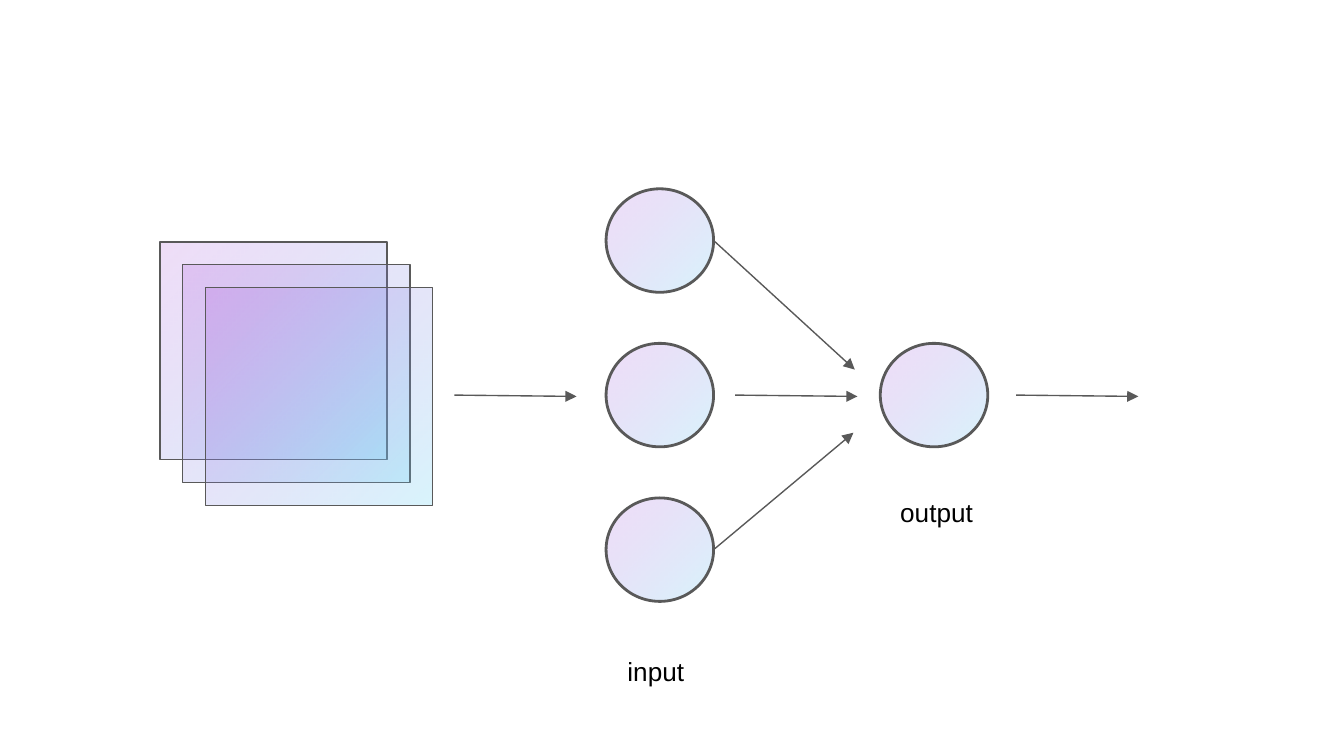
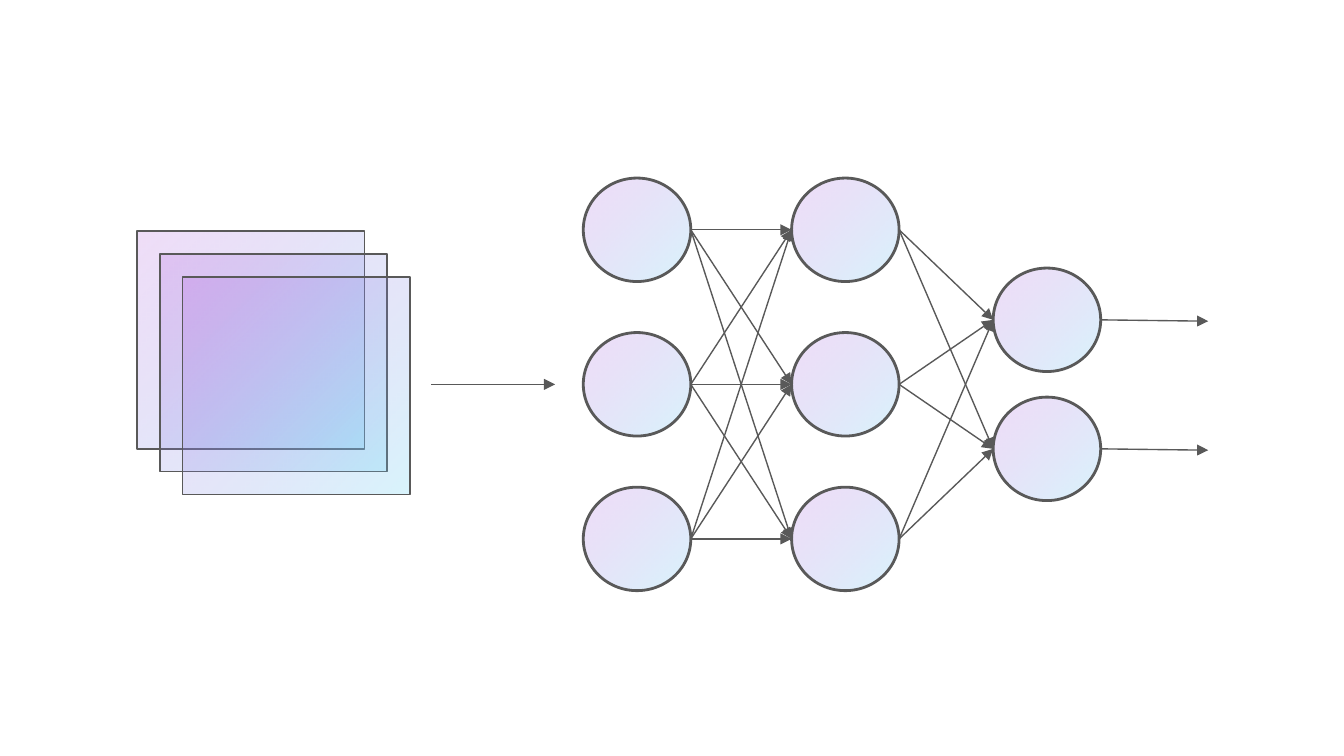
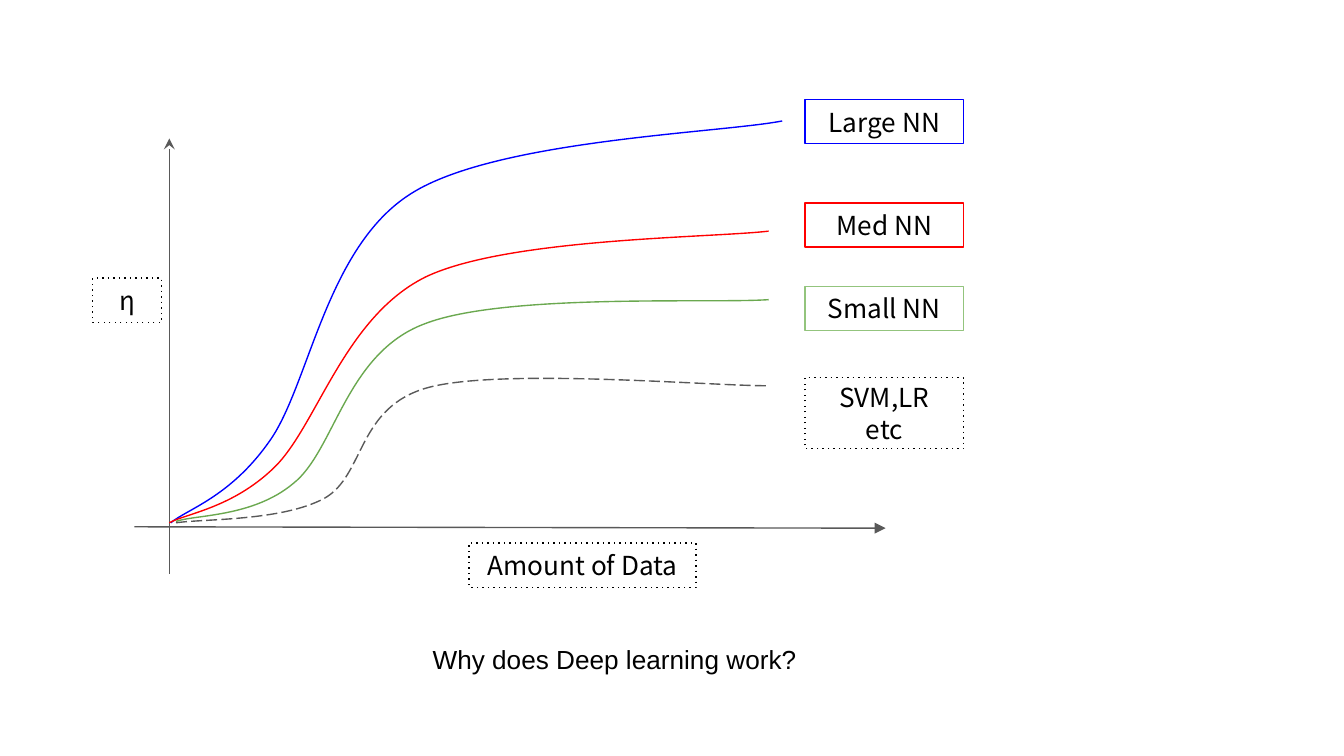
from itertools import product

from lxml import etree
from pptx import Presentation
from pptx.dml.color import RGBColor
from pptx.enum.shapes import MSO_CONNECTOR, MSO_SHAPE
from pptx.enum.text import MSO_ANCHOR, PP_ALIGN
from pptx.oxml.ns import qn
from pptx.util import Inches, Pt

ELLIPSE, RECTANGLE = MSO_SHAPE.OVAL, MSO_SHAPE.RECTANGLE
STRAIGHT = MSO_CONNECTOR.STRAIGHT
MIDDLE, TOP = MSO_ANCHOR.MIDDLE, MSO_ANCHOR.TOP
CENTER, LEFT = PP_ALIGN.CENTER, PP_ALIGN.LEFT

# The grid has ten square columns across the slide; all lengths are in columns.
COLUMNS, ROWS = 10, 5.625
CELL = Inches(1)

GREY, BLACK = "595959", "000000"
BLUE, RED, GREEN, PALE_GREEN = "0000FF", "FF0000", "6AA84F", "93C47D"
GLASS = [("69D4F4", 26), ("9F39D5", 17)]  # colour, opacity in percent
GLASS_ANGLE = 135
THIN, THICK = 0.75, 1.5

CAPTION_FONT, LABEL_FONT = "Arial", "Noto Sans CJK KR"
TEXT_SIZE, INSET = 14, 0.1

NODE_WIDTH, NODE_HEIGHT, NODE_STEP = 0.8, 0.77, 1.15
SHEET_WIDTH, SHEET_HEIGHT, SHEET_STEP, SHEET_COUNT = 1.69, 1.62, 0.17, 3
LABEL_LEFT, LABEL_WIDTH, LABEL_HEIGHT = 5.99, 1.18, 0.33


def grid(*lengths):
    return [int(length * CELL) for length in lengths]


def colour(code):
    return RGBColor.from_string(code)


def apply(target, formats):
    for name, value in formats.items():
        setattr(target, name, value)


def style_line(shape, code, width=THIN, dash=None, arrow=None):
    shape.line.color.rgb = colour(code)
    shape.line.width = Pt(width)
    outline = shape.line._get_or_add_ln()
    if dash:
        etree.SubElement(outline, qn("a:prstDash"), val=dash)
    if arrow:
        etree.SubElement(outline, qn("a:tailEnd"), type=arrow)


def write(shape, text, font, anchor, align):
    frame = shape.text_frame
    apply(frame, {"word_wrap": True, "vertical_anchor": anchor})
    sides = ("left", "right", "top", "bottom")
    apply(frame, {f"margin_{side}": Inches(INSET) for side in sides})
    para = frame.paragraphs[0]
    para.alignment = align
    span = para.add_run()
    span.text = text
    apply(span.font, {"name": font, "size": Pt(TEXT_SIZE)})
    span.font.color.rgb = colour(BLACK)


def add_glass(page, kind, left, top, width, height, line_width):
    shape = page.shapes.add_shape(kind, *grid(left, top, width, height))
    shape.shadow.inherit = False
    shape.fill.gradient()
    shape.fill.gradient_angle = GLASS_ANGLE
    for stop, (code, opacity) in zip(shape.fill.gradient_stops, GLASS):
        stop.color.rgb = colour(code)
        tint = shape._element.xpath(f".//a:gradFill//a:srgbClr[@val='{code}']")[0]
        etree.SubElement(tint, qn("a:alpha"), val=str(opacity * 1000))
    style_line(shape, GREY, line_width)


def add_sheets(page, left, top):
    for index in range(SHEET_COUNT):
        shift = index * SHEET_STEP
        add_glass(page, RECTANGLE, left + shift, top + shift,
                  SHEET_WIDTH, SHEET_HEIGHT, THIN)


def add_layer(page, center, heights):
    """Draw one node per height; return their left and right ends."""
    left = center - NODE_WIDTH / 2
    for middle in heights:
        add_glass(page, ELLIPSE, left, middle - NODE_HEIGHT / 2,
                  NODE_WIDTH, NODE_HEIGHT, THICK)
    right = left + NODE_WIDTH
    return [(left, y) for y in heights], [(right, y) for y in heights]


def add_arrow(page, start, end, arrow="triangle"):
    connector = page.shapes.add_connector(STRAIGHT, *grid(*start, *end))
    style_line(connector, GREY, arrow=arrow)
    etree.SubElement(connector._element.spPr, qn("a:effectLst"))


def add_caption(page, text, left, top, width, height):
    box = page.shapes.add_textbox(*grid(left, top, width, height))
    write(box, text, CAPTION_FONT, TOP, LEFT)


def add_label(page, text, left, top, width, height, code, dash=None):
    box = page.shapes.add_shape(RECTANGLE, *grid(left, top, width, height))
    box.shadow.inherit = False
    box.fill.background()
    style_line(box, code, dash=dash)
    write(box, text, LABEL_FONT, MIDDLE, CENTER)


def add_curve(page, points, code, dash=None):
    """Draw Bezier pieces: a start, then two handles and an end for each."""
    start, *rest = [grid(*point) for point in points]
    builder = page.shapes.build_freeform(*start)
    builder.add_line_segments(rest, close=False)
    curve = builder.convert_to_shape()
    curve.shadow.inherit = False
    curve.fill.background()
    style_line(curve, code, dash=dash)
    outline = curve._element.xpath(".//a:path")[0]
    segments = outline.findall(qn("a:lnTo"))
    for first in range(0, len(segments), 3):
        piece = etree.SubElement(outline, qn("a:cubicBezTo"))
        for segment in segments[first:first + 3]:
            piece.append(segment[0])
            outline.remove(segment)


def layer_heights(middle):
    return [middle + step * NODE_STEP for step in (-1, 0, 1)]


def build_perceptron(page):
    middle = 2.94
    add_sheets(page, 1.19, 1.8)
    _, (upper, _, lower) = add_layer(page, 4.91, layer_heights(middle))
    add_layer(page, 6.95, [middle])
    for left in (3.38, 5.47, 7.56):
        add_arrow(page, (left, middle), (left + 0.91, middle + 0.01))
    add_arrow(page, upper, (6.36, 2.75))
    add_arrow(page, lower, (6.35, 3.22))
    add_caption(page, "input", 4.57, 4.78, 0.68, 0.41)
    add_caption(page, "output", 6.6, 3.59, 0.8, 0.41)


def build_network(page):
    middle = 2.86
    add_sheets(page, 1.02, 1.72)
    add_arrow(page, (3.21, middle), (4.13, middle))
    hidden = layer_heights(middle)
    layers = [(4.74, hidden), (6.29, hidden), (7.79, [2.38, 3.34])]
    ends = [add_layer(page, *layer) for layer in layers]
    for (_, starts), (targets, _) in zip(ends, ends[1:]):
        for start, target in product(starts, targets):
            add_arrow(page, start, target)
    for x, y in ends[-1][1]:
        add_arrow(page, (x, y), (x + 0.8, y + 0.01))


def build_growth_plot(page):
    # Axes
    add_arrow(page, (1.26, 4.27), (1.26, 1.03), "stealth")
    add_arrow(page, (1, 3.92), (6.59, 3.93))

    # Curves
    curves = [
        (BLUE, None, [(1.27, 3.89), (1.39, 3.79), (1.71, 3.7), (2, 3.29),
                      (2.3, 2.88), (2.42, 1.84), (3.06, 1.44),
                      (3.69, 1.04), (5.36, 0.99), (5.82, 0.9)]),
        (RED, None, [(1.26, 3.89), (1.39, 3.82), (1.73, 3.78), (2.04, 3.48),
                     (2.36, 3.17), (2.56, 2.36), (3.17, 2.06),
                     (3.78, 1.77), (5.3, 1.77), (5.72, 1.72)]),
        (GREEN, None, [(1.31, 3.88), (1.45, 3.83), (1.88, 3.85), (2.18, 3.6),
                       (2.49, 3.36), (2.57, 2.63), (3.16, 2.41),
                       (3.75, 2.18), (5.3, 2.26), (5.72, 2.23)]),
        (GREY, "lgDash", [(1.31, 3.89), (1.5, 3.86), (2.09, 3.88), (2.41, 3.71),
                          (2.72, 3.54), (2.65, 3.02), (3.2, 2.88),
                          (3.75, 2.74), (5.28, 2.87), (5.7, 2.87)]),
    ]
    for code, dash, points in curves:
        add_curve(page, points, code, dash)

    # Curve names
    names = [
        ("Large NN", 0.74, LABEL_HEIGHT, BLUE, None),
        ("Med NN", 1.51, LABEL_HEIGHT, RED, None),
        ("Small NN", 2.13, LABEL_HEIGHT, PALE_GREEN, None),
        ("SVM,LR etc", 2.81, 0.53, BLACK, "dot"),
    ]
    for text, top, height, code, dash in names:
        add_label(page, text, LABEL_LEFT, top, LABEL_WIDTH, height, code, dash)

    # Axis names and caption
    add_label(page, "η", 0.69, 2.07, 0.51, LABEL_HEIGHT, BLACK, "dot")
    add_label(page, "Amount of Data", 3.49, 4.04, 1.69, LABEL_HEIGHT, BLACK, "dot")
    add_caption(page, "Why does Deep learning work?", 3.12, 4.69, 3.32, 0.56)


def main():
    deck = Presentation()
    deck.slide_width, deck.slide_height = grid(COLUMNS, ROWS)
    blank = deck.slide_layouts[6]
    for build in (build_perceptron, build_network, build_growth_plot):
        build(deck.slides.add_slide(blank))
    deck.save("out.pptx")


if __name__ == "__main__":
    main()
